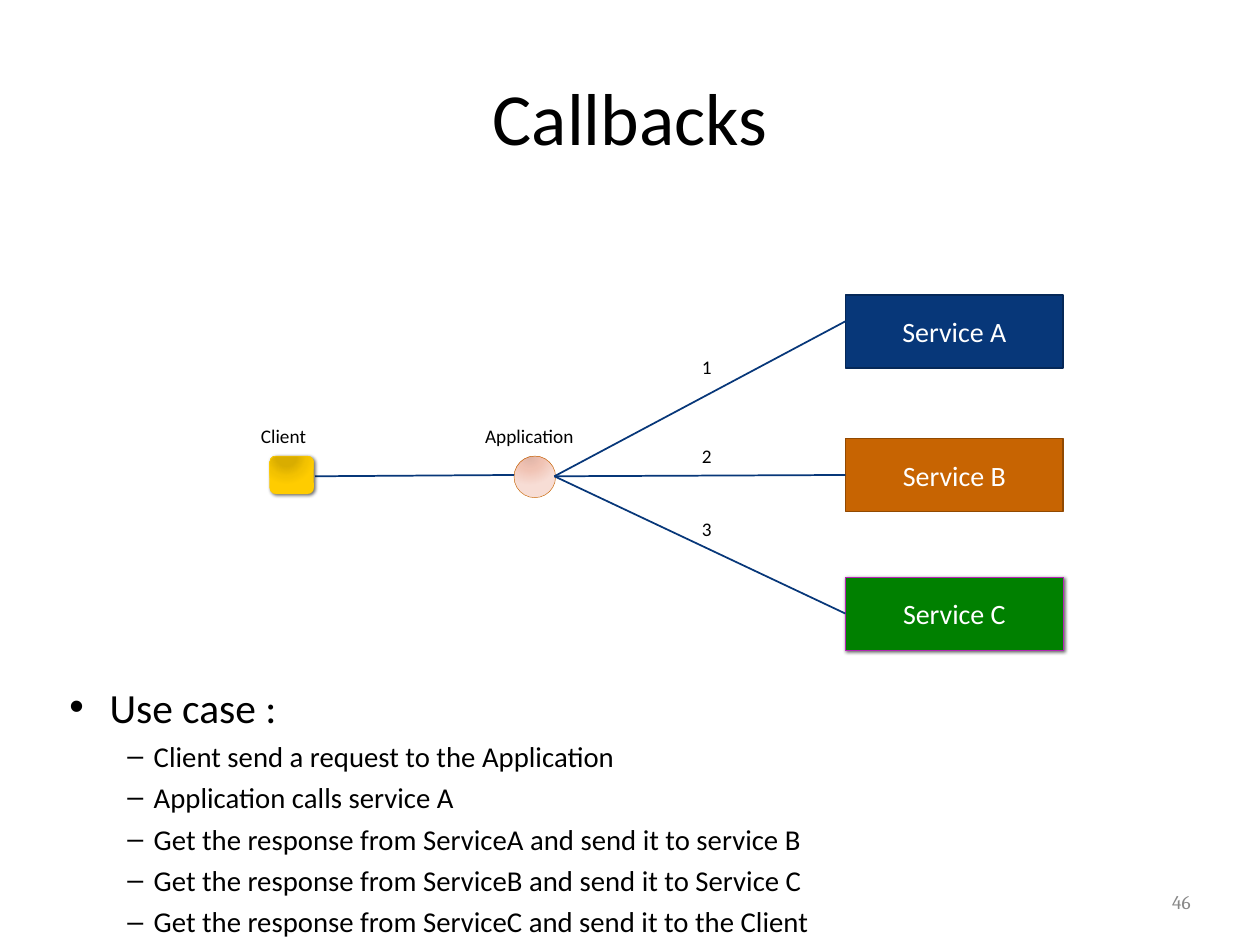
import pptx
import pptx.util
import pptx.dml.color
import pptx.enum.shapes
import pptx.enum.text
import pptx.oxml
import pptx.oxml.ns

Inches = pptx.util.Inches
Pt = pptx.util.Pt
Kind = pptx.enum.shapes.MSO_SHAPE
Align = pptx.enum.text.PP_ALIGN
Anchor = pptx.enum.text.MSO_ANCHOR
Fit = pptx.enum.text.MSO_AUTO_SIZE
NS = pptx.oxml.ns.nsdecls("a")
NAVY = "073779"


def paint(text):
    return pptx.dml.color.RGBColor.from_string(text)


def place(shape, left, top, width, height):
    shape.left, shape.top = Inches(left), Inches(top)
    shape.width, shape.height = Inches(width), Inches(height)


def setup(frame, wrap=True, anchor=Anchor.TOP):
    frame.word_wrap = wrap
    frame.auto_size = Fit.NONE
    frame.vertical_anchor = anchor
    frame.margin_left = frame.margin_right = Inches(0.05)
    frame.margin_top = frame.margin_bottom = Inches(0.05)


def write(para, text, size, color="000000", font="Calibri"):
    run = para.add_run()
    run.text = text
    run.font.size = Pt(size)
    run.font.name = font
    run.font.color.rgb = paint(color)


def label(slide, text, left, top, width):
    box = slide.shapes.add_textbox(Inches(left), Inches(top), Inches(width), Inches(0.27))
    setup(box.text_frame, wrap=False)
    write(box.text_frame.paragraphs[0], text, 11)


def shade(shape):
    effect = shape._element.spPr.find(pptx.oxml.ns.qn("a:effectLst"))
    effect.append(pptx.oxml.parse_xml(
        f'<a:outerShdw {NS} blurRad="{Pt(2)}" dist="{Pt(1)}" dir="2700000" rotWithShape="0">'
        '<a:srgbClr val="000000"><a:alpha val="60000"/></a:srgbClr></a:outerShdw>'))


def glow(shape, stops):
    marks = "".join(
        f'<a:gs pos="{pos * 1000}"><a:srgbClr val="{color}"/></a:gs>' for pos, color in stops)
    fill = pptx.oxml.parse_xml(
        f'<a:gradFill {NS} rotWithShape="1"><a:gsLst>{marks}</a:gsLst><a:path path="circle">'
        '<a:fillToRect l="38000" t="-20000" r="62000" b="120000"/></a:path></a:gradFill>')
    shape._element.spPr.insert(2, fill)


def block(slide, kind, left, top, width, height, edge, weight):
    shape = slide.shapes.add_shape(
        kind, Inches(left), Inches(top), Inches(width), Inches(height))
    shape.line.color.rgb = paint(edge)
    shape.line.width = Pt(weight)
    shape.shadow.inherit = False
    return shape


def service(slide, name, top, color, edge, weight):
    shape = block(slide, Kind.RECTANGLE, 6.71, top, 1.73, 0.58, edge, weight)
    shape.fill.solid()
    shape.fill.fore_color.rgb = paint(color)
    setup(shape.text_frame, anchor=Anchor.MIDDLE)
    para = shape.text_frame.paragraphs[0]
    para.alignment = Align.CENTER
    write(para, name, 16, "FFFFFF")
    return shape


def link(slide, start, end):
    line = slide.shapes.add_connector(
        pptx.enum.shapes.MSO_CONNECTOR.STRAIGHT, *map(Inches, start + end))
    line.line.color.rgb = paint(NAVY)
    line.line.width = Pt(1)
    line._element.spPr.append(pptx.oxml.parse_xml(f"<a:effectLst {NS}/>"))


def title(slide, text):
    shape = slide.shapes.title
    place(shape, 0.5, 0.1, 9, 1.65)
    setup(shape.text_frame, anchor=Anchor.MIDDLE)
    para = shape.text_frame.paragraphs[0]
    para.alignment = Align.CENTER
    write(para, text, 42)


def body(slide, head, items):
    shape = slide.placeholders[1]
    place(shape, 0.5, 5.36, 9.46, 2.14)
    frame = shape.text_frame
    setup(frame)
    rows = [(head, 0, 23.7, 6, 0.32, -0.32)]
    rows += [(item, 1, 16.4, 4, 0.67, -0.21) for item in items]
    for index, (text, level, size, gap, left, hang) in enumerate(rows):
        para = frame.add_paragraph() if index else frame.paragraphs[0]
        para.level = level
        para.space_before = Pt(gap)
        props = para._p.get_or_add_pPr()
        props.set("marL", str(Inches(left)))
        props.set("indent", str(Inches(hang)))
        write(para, text, size)


def number(slide, text):
    box = slide.shapes.add_textbox(Inches(7.17), Inches(7.02), Inches(2.33), Inches(0.27))
    setup(box.text_frame, anchor=Anchor.MIDDLE)
    para = box.text_frame.paragraphs[0]
    para.alignment = Align.RIGHT
    write(para, text, 11, "888888", "Cambria")


def diagram(slide):
    service(slide, "Service A", 2.34, NAVY, "052858", 1)
    service(slide, "Service B", 3.48, "C76402", "914901", 1)
    shade(service(slide, "Service C", 4.58, "008000", "B523B4", 0.25))

    app = block(slide, Kind.OVAL, 4.08, 3.62, 0.33, 0.33, "C76402", 0.25)
    glow(app, [(0, "DEB3A6"), (45, "F0C2B3"), (100, "F7DDD5")])
    ends = [(2.55, 2.77), (3.77, 3.48), (4.87, 4.06)]
    for step, (end, top) in enumerate(ends, 1):
        link(slide, (4.4, 3.78), (6.71, end))
        label(slide, str(step), 5.52, top, 0.19)

    link(slide, (2.5, 3.78), (4.08, 3.77))
    label(slide, "Application", 3.8, 3.32, 0.89)
    label(slide, "Client", 2.02, 3.32, 0.52)
    client = block(slide, Kind.ROUNDED_RECTANGLE, 2.14, 3.62, 0.35, 0.3, "FFCC00", 0.25)
    glow(client, [(0, "D9AD00"), (34, "D9AD00"), (70, "F3C200"), (100, "FFCC00")])
    shade(client)


def main():
    deck = pptx.Presentation()
    deck.slide_width, deck.slide_height = Inches(10), Inches(7.5)
    slide = deck.slides.add_slide(deck.slide_layouts[1])
    title(slide, "Callbacks")
    body(slide, "Use case :", [
        "Client send a request to the Application",
        "Application calls service A",
        "Get the response from ServiceA and send it to service B",
        "Get the response from ServiceB and send it to Service C",
        "Get the response from ServiceC and send it to the Client",
    ])
    number(slide, "46")
    diagram(slide)
    deck.save("out.pptx")


if __name__ == "__main__":
    main()
